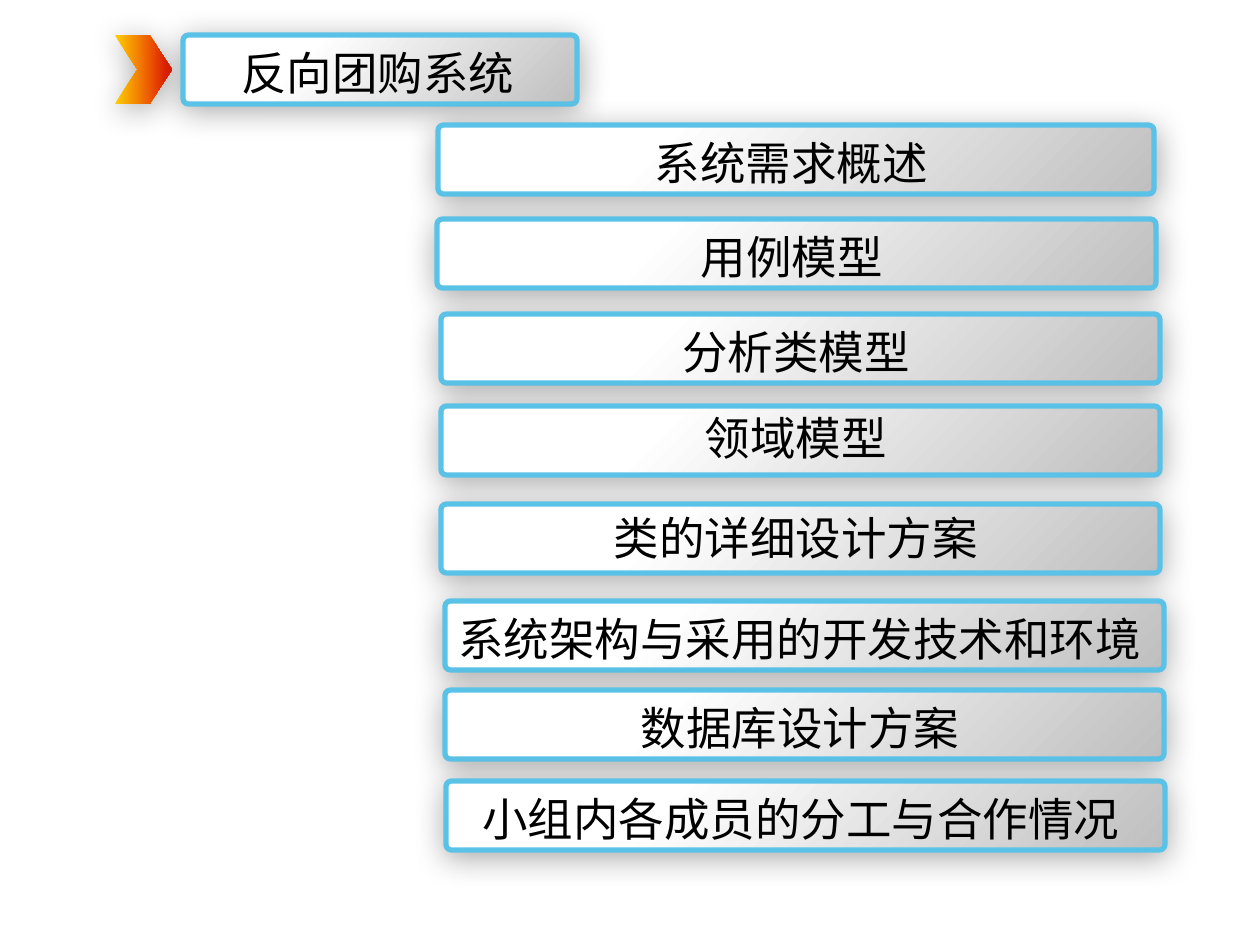
from dataclasses import dataclass

from lxml.etree import SubElement
from pptx import Presentation
from pptx.dml.color import RGBColor
from pptx.enum.shapes import MSO_SHAPE as Shape
from pptx.enum.text import MSO_ANCHOR as Anchor, MSO_AUTO_SIZE as AutoSize, PP_ALIGN as Align
from pptx.oxml.ns import qn
from pptx.util import Emu, Pt


@dataclass(frozen=True)
class Theme:
    font: str = "Noto Sans CJK SC"
    text_size: float = 26
    text: str = "000000"
    border: str = "5BC2E7"
    border_width: float = 3
    shadow: str = "000000"
    bar_stops: tuple = ((0.3, "FFFFFF"), (1, "BFBFBF"))
    arrow_stops: tuple = ((0, "FFCF01"), (0.9, "E22000"))


THEME = Theme()
BAR_HEIGHT = 69
TEXT_HEIGHT = 68

# Agenda bars: text, left, top, width, text drop below the bar's top
AGENDA = [
    ("系统需求概述", 438, 125, 716, 3),
    ("用例模型", 437, 219, 719, 3),
    ("分析类模型", 441, 314, 719, 3),
    ("领域模型", 441, 406, 719, -3),
    ("类的详细设计方案", 441, 504, 719, -1),
    ("系统架构与采用的开发技术和环境", 445, 601, 719, 3),
    ("数据库设计方案", 445, 690, 719, 3),
    ("小组内各成员的分工与合作情况", 446, 781, 719, 3),
]


def px(length):
    return Emu(round(length * 914400 / 126))


def rgb(color):
    return RGBColor.from_string(color)


def fill_gradient(shape, stops, angle):
    shape.fill.gradient()
    shape.fill.gradient_angle = angle
    for stop, (position, color) in zip(shape.fill.gradient_stops, stops):
        stop.position = position
        stop.color.rgb = rgb(color)


def add_soft_shadow(shape):
    shape.shadow.inherit = False
    effects = shape._element.spPr.find(qn("a:effectLst"))
    shadow = SubElement(effects, qn("a:outerShdw"), blurRad=str(Pt(17.8)),
                        dist=str(Pt(3)), dir=str(87 * 60000), algn="ctr", rotWithShape="0")
    color = SubElement(shadow, qn("a:srgbClr"), val=THEME.shadow)
    SubElement(color, qn("a:alpha"), val="33000")


def add_arrow(group, left, top, width, height):
    arrow = group.shapes.add_shape(Shape.CHEVRON, px(left), px(top), px(width), px(height))
    arrow.adjustments[0] = 0.394
    fill_gradient(arrow, THEME.arrow_stops, 0)
    arrow.line.fill.background()
    add_soft_shadow(arrow)


def add_bar(group, left, top, width):
    bar = group.shapes.add_shape(Shape.ROUNDED_RECTANGLE,
                                 px(left), px(top), px(width), px(BAR_HEIGHT))
    bar.adjustments[0] = 0.078
    fill_gradient(bar, THEME.bar_stops, 315)
    bar.line.color.rgb = rgb(THEME.border)
    bar.line.width = Pt(THEME.border_width)
    add_soft_shadow(bar)


def add_label(group, text, left, top, width):
    box = group.shapes.add_textbox(px(left), px(top), px(width), px(TEXT_HEIGHT))
    frame = box.text_frame
    frame.word_wrap = True
    frame.auto_size = AutoSize.SHAPE_TO_FIT_TEXT
    frame.vertical_anchor = Anchor.MIDDLE
    paragraph = frame.paragraphs[0]
    paragraph.text = text
    paragraph.alignment = Align.CENTER
    font = paragraph.font
    font.size = Pt(THEME.text_size)
    font.color.rgb = rgb(THEME.text)
    font.name = THEME.font
    # Chinese characters take the East Asian typeface
    properties = paragraph._p.pPr.find(qn("a:defRPr"))
    SubElement(properties, qn("a:ea"), typeface=THEME.font)


def main():
    presentation = Presentation()
    presentation.slide_width, presentation.slide_height = px(1260), px(945)
    slide = presentation.slides.add_slide(presentation.slide_layouts[6])

    # Heading with its arrow
    heading = slide.shapes.add_group_shape()
    add_arrow(heading, 115, 35, 57, BAR_HEIGHT)
    add_bar(heading, 183, 35, 394)
    add_label(heading, "反向团购系统", 179, 38, 398)

    # Agenda
    for text, left, top, width, drop in AGENDA:
        item = slide.shapes.add_group_shape()
        add_bar(item, left, top, width)
        add_label(item, text, left - 7, top + drop, width + 5)

    presentation.save("out.pptx")


if __name__ == "__main__":
    main()
